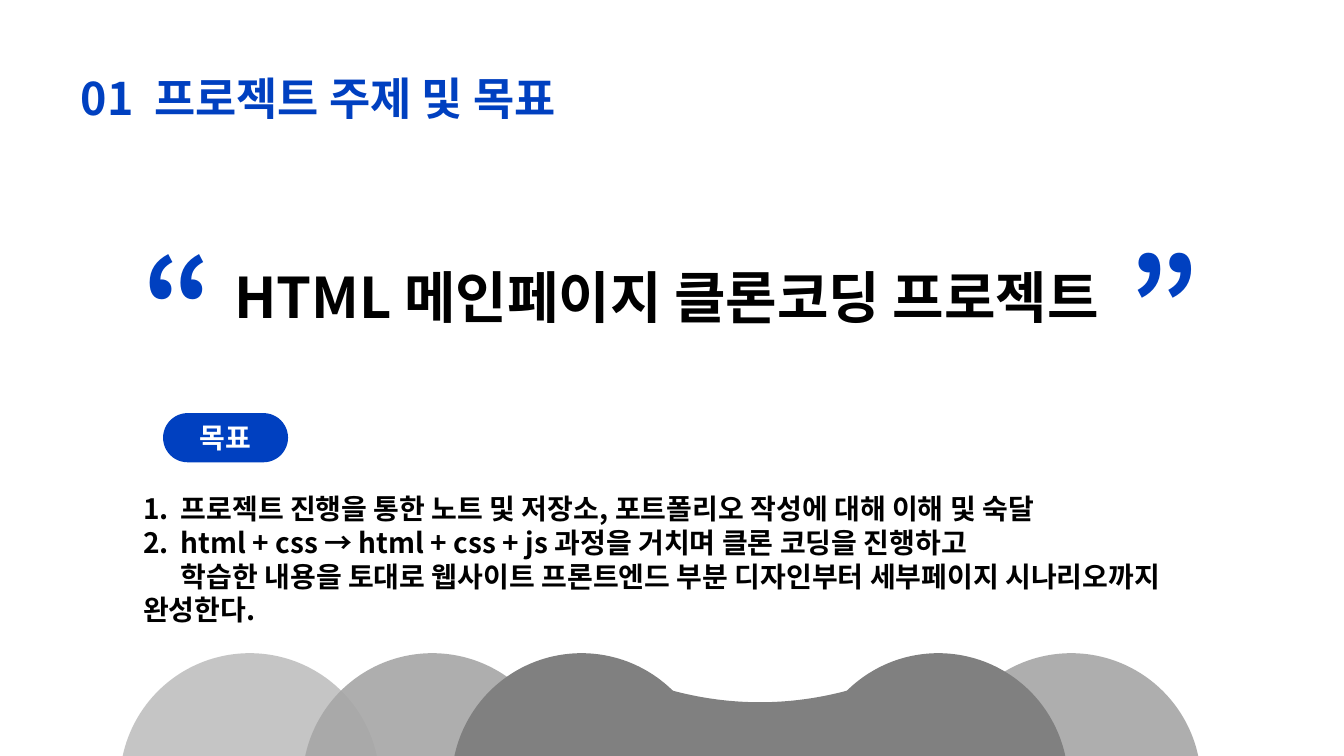
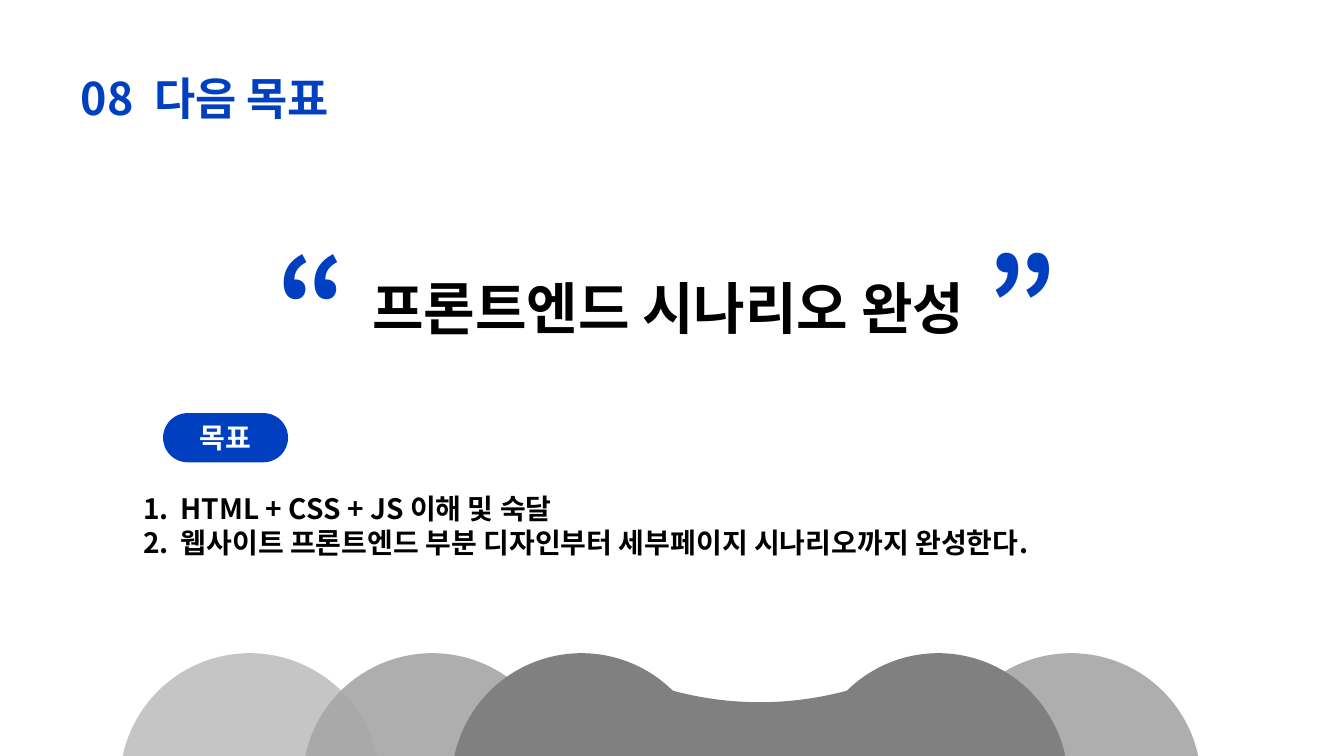
from lxml import etree
from pptx import Presentation
from pptx.dml.color import RGBColor
from pptx.enum import shapes, text
from pptx.oxml.ns import qn
from pptx.util import Cm, Pt

FONT = "Noto Sans CJK KR"
BLUE = RGBColor(0x00, 0x40, 0xC0)
BLACK = RGBColor(0x00, 0x00, 0x00)
WHITE = RGBColor(0xFF, 0xFF, 0xFF)
LIGHT = RGBColor(0xBF, 0xBF, 0xBF)
MID = RGBColor(0xA6, 0xA6, 0xA6)
DARK = RGBColor(0x80, 0x80, 0x80)
INDENT = Cm(0.95)
CIRCLE = 6.55
CIRCLES = [(3.02, LIGHT, 90), (7.62, MID, 90), (23.72, MID, 90),
           (11.38, DARK, 100), (20.37, DARK, 100)]

# Boxes are (left, top, width, height) in centimetres; list items are (text, numbered).
SLIDES = [
    {
        "title": "01  프로젝트 주제 및 목표", "title_width": 12.6,
        "headline": "HTML 메인페이지 클론코딩 프로젝트",
        "headline_box": (5.66, 6.5, 22.5, 1.96),
        "quotes": (3.35, 28.19),
        "goals": [
            ("프로젝트 진행을 통한 노트 및 저장소, 포트폴리오 작성에 대해 이해 및 숙달", True),
            ("html + css → html + css + js 과정을 거치며 클론 코딩을 진행하고", True),
            ("학습한 내용을 토대로 웹사이트 프론트엔드 부분 디자인부터 "
             "세부페이지 시나리오까지 완성한다.", False),
        ],
    },
    {
        "title": "08  다음 목표", "title_width": 6.83,
        "headline": "프론트엔드 시나리오 완성",
        "headline_box": (9.14, 6.76, 15.8, 1.96),
        "quotes": (6.73, 24.61),
        "goals": [
            ("HTML + CSS + JS 이해 및 숙달", True),
            ("웹사이트 프론트엔드 부분 디자인부터 세부페이지 시나리오까지 완성한다.", True),
        ],
    },
]


def write(sp, box, lines, size, color, align=text.PP_ALIGN.LEFT,
          anchor=text.MSO_ANCHOR.TOP):
    """Place a shape and fill it with one bold paragraph per line."""
    sp.left, sp.top, sp.width, sp.height = map(Cm, box)
    tf = sp.text_frame
    tf.word_wrap = True
    tf.auto_size = text.MSO_AUTO_SIZE.NONE
    tf.vertical_anchor = anchor
    tf.text = "\n".join(lines)
    for p in tf.paragraphs:
        p.alignment = align
        p.line_spacing = Pt(round(size * 1.2, 1))
        p.space_before = Pt(0)
        r = p.runs[0]
        r.font.name, r.font.size, r.font.bold = FONT, Pt(size), True
        r.font.color.rgb = color
        etree.SubElement(r._r.get_or_add_rPr(), qn("a:ea"), typeface=FONT)
    return tf


def add_filled(s, kind, box, color, opacity=100):
    sp = s.shapes.add_shape(kind, *map(Cm, box))
    sp.shadow.inherit = False
    sp.line.fill.background()
    sp.fill.solid()
    sp.fill.fore_color.rgb = color
    if opacity < 100:
        clr = sp._element.spPr.find(".//" + qn("a:srgbClr"))
        etree.SubElement(clr, qn("a:alpha"), val=str(opacity * 1000))
    return sp


prs = Presentation()
prs.slide_width, prs.slide_height = Cm(33.87), Cm(19.05)

for content in SLIDES:
    s = prs.slides.add_slide(prs.slide_layouts[1])
    write(s.shapes.title, (1.78, 1.65, content["title_width"], 1.63),
          [content["title"]], 32, BLUE)

    headline = s.shapes.add_textbox(0, 0, 0, 0)
    write(headline, content["headline_box"], [content["headline"]], 40, BLACK)
    for mark, left in zip("“”", content["quotes"]):
        quote = s.shapes.add_textbox(0, 0, 0, 0)
        write(quote, (left, 5.6, 2.31, 4), [mark], 88, BLUE)

    goals = content["goals"]
    tf = write(s.placeholders[1], (3.35, 12.27, 28.78, 2.82),
               [line for line, _ in goals], 20, BLACK)
    for p, (_, numbered) in zip(tf.paragraphs, goals):
        pPr = p._p.get_or_add_pPr()
        pPr.set("marL", str(INDENT if numbered else 0))
        pPr.set("indent", str(-INDENT if numbered else INDENT))
        if numbered:
            etree.SubElement(pPr, qn("a:buFont"), typeface="+mj-lt")
            etree.SubElement(pPr, qn("a:buAutoNum"), type="arabicPeriod")
        else:
            etree.SubElement(pPr, qn("a:buNone"))

    pill_box = (4.11, 10.41, 3.15, 1.24)
    pill = add_filled(s, shapes.MSO_SHAPE.ROUNDED_RECTANGLE, pill_box, BLUE)
    pill.adjustments[0] = 0.5
    write(pill, pill_box, ["목표"], 20, WHITE, text.PP_ALIGN.CENTER,
          text.MSO_ANCHOR.MIDDLE)

    for left, color, opacity in CIRCLES:
        add_filled(s, shapes.MSO_SHAPE.OVAL, (left, 16.46, CIRCLE, CIRCLE),
                   color, opacity)
    bridge = add_filled(s, shapes.MSO_SHAPE.MOON, (14.91, 16.71, 8.48, 8.33), DARK)
    bridge.adjustments[0] = 0.875
    bridge.rotation = 270

prs.save("out.pptx")
